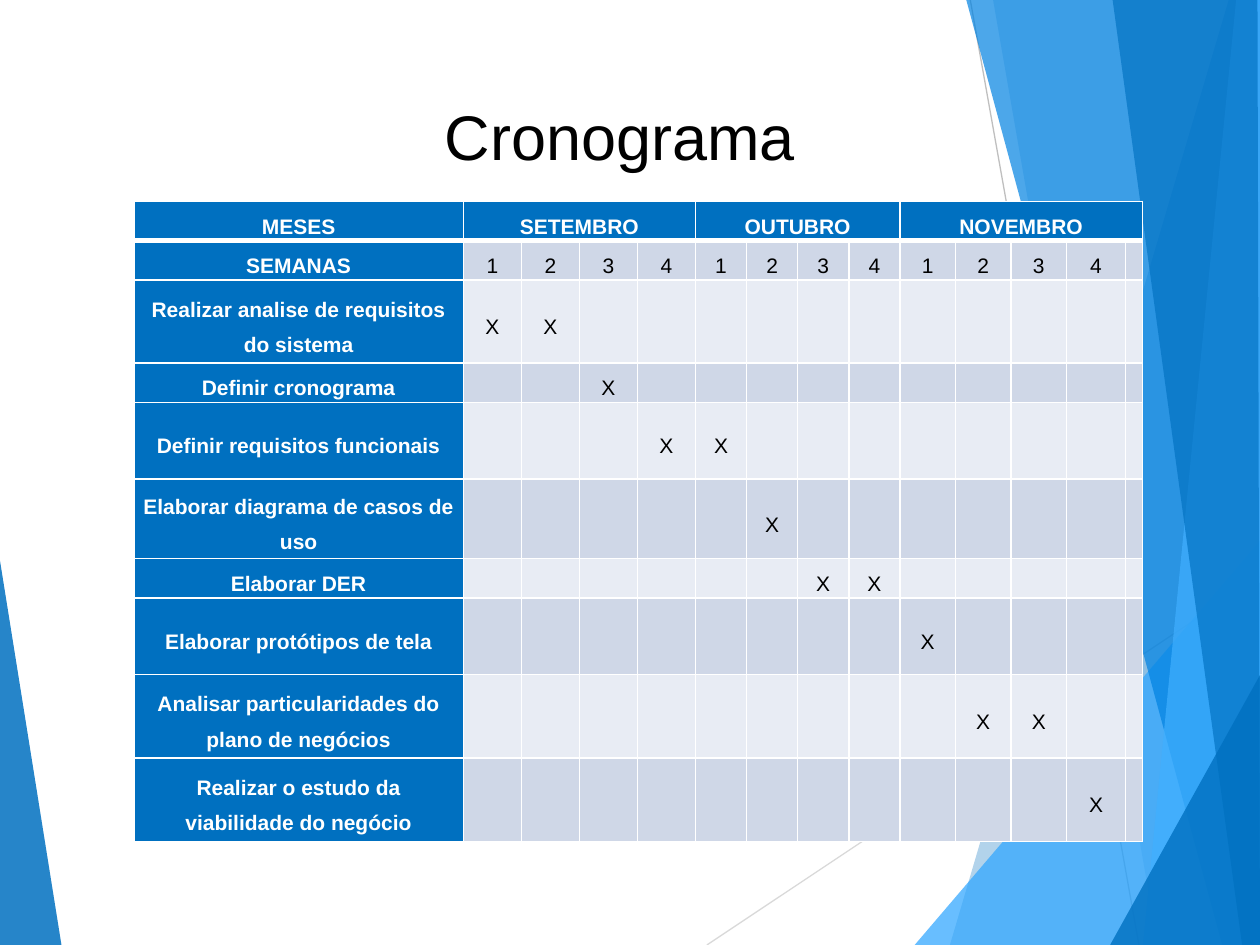
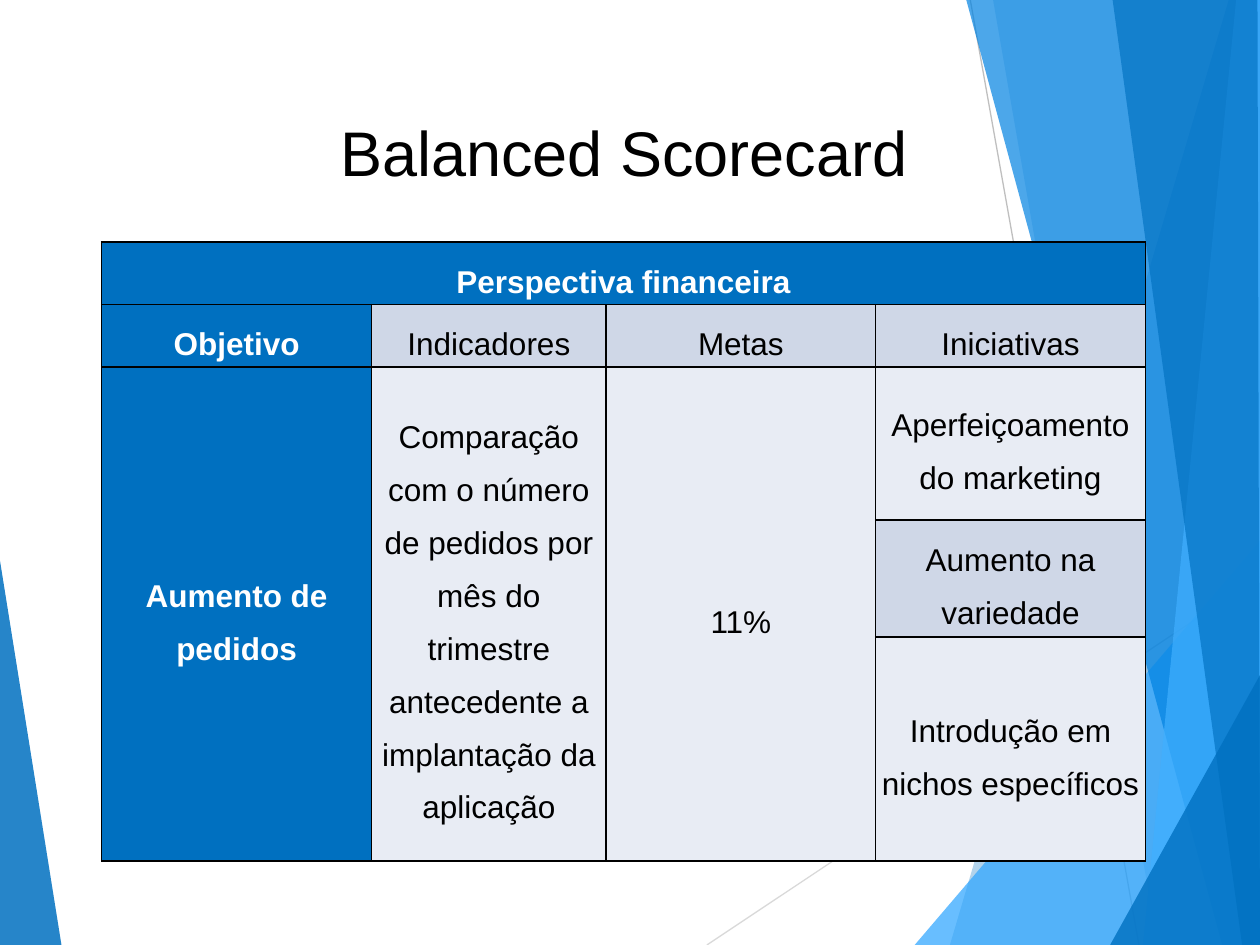
"""Build the schedule and scorecard slides over a shared blue backdrop."""
from lxml.etree import SubElement as Sub
from pptx import Presentation
from pptx.dml.color import RGBColor
from pptx.enum.shapes import MSO_CONNECTOR as Link
from pptx.enum.text import MSO_ANCHOR as Anchor, PP_ALIGN as Align
from pptx.oxml import parse_xml
from pptx.oxml.ns import nsdecls, qn
from pptx.util import Cm, Pt

W, H = 25.4, 19.05
BLUE, DARK, PALE = "0070C0", "CFD7E7", "E8ECF4"
WHITE, BLACK = "FFFFFF", "000000"
CELL = {"vertical_anchor": Anchor.MIDDLE, "margin_left": Cm(0.12),
        "margin_right": Cm(0.12), "margin_top": 0, "margin_bottom": 0}
PLAIN = {"first_row": False, "horz_banding": False}


def tint(hue):
    return RGBColor.from_string(hue)


def grid(page, spot, cols, rows, data, spans, size, edge, head):
    high, wide = len(rows), len(cols)
    table = page.shapes.add_table(high, wide, Cm(spot[0]), Cm(spot[1]),
                                  Cm(sum(cols)), Cm(sum(rows))).table
    for name, val in PLAIN.items():
        setattr(table, name, val)
    for col, width in zip(table.columns, cols):
        col.width = Cm(width)
    for row, height in zip(table.rows, rows):
        row.height = Cm(height)
    for r, line in enumerate(data):
        for c, text in enumerate(line):
            cell = table.cell(r, c)
            main = r == 0 or c == 0
            for name, val in CELL.items():
                setattr(cell, name, val)
            cell.fill.solid()
            cell.fill.fore_color.rgb = tint(BLUE if main else DARK if r % 2 else PALE)
            props = cell._tc.get_or_add_tcPr()
            for i, side in enumerate("LRTB"):
                thick = head if (r, side) in ((0, "B"), (1, "T")) else 1
                props.insert(i, parse_xml(
                    f'<a:ln{side} {nsdecls("a")} w="{Pt(thick)}"><a:solidFill>'
                    f'<a:srgbClr val="{edge}"/></a:solidFill></a:ln{side}>'))
            if text:
                para = cell.text_frame.paragraphs[0]
                para.alignment, para.line_spacing = Align.CENTER, 1.5
                run = para.add_run()
                run.text = text
                form = {"name": "Arial", "size": Pt(size), "bold": main}
                for name, val in form.items():
                    setattr(run.font, name, val)
                run.font.color.rgb = tint(WHITE if main else BLACK)
    for top, left, low, right in spans:
        table.cell(top, left).merge(table.cell(low, right))


deck = Presentation()
deck.slide_width, deck.slide_height = Cm(W), Cm(H)
blank = deck.slide_layouts[6]

titles = [("Cronograma", 3.68, 0.89), ("Balanced Scorecard", 3.76, 1.22)]
pages = [deck.slides.add_slide(blank) for _ in titles]
plan, score = pages

lines = [(14.25, H, W, 11.62, "D9D9D9"), (19.56, 0, 22.96, H, "BFBFBF")]
for x1, y1, x2, y2, hue in lines:
    link = plan.shapes.add_connector(Link.STRAIGHT, Cm(x1), Cm(y1), Cm(x2), Cm(y2))
    link.line.color.rgb, link.line.width = tint(hue), Pt(0.75)
    Sub(link.element.spPr, qn("a:effectLst"))

shards = [
    (BLUE, 85, [(0, 11.3), (1.24, H), (0, H)]),
    (BLUE, 30, [(24.77, 0), (19.15, H), (W, H), (W, 0)]),
    (BLUE, 20, [(20.02, 0), (23.34, H), (W, H), (W, 0)]),
    ("2FA6FF", 72, [(18.44, H), (W, 10.9), (W, H)]),
    ("0082E2", 70, [(19.48, 0), (24.64, H), (W, H), (W, 0)]),
    ("40AFFF", 70, [(24.92, 0), (23.04, H), (W, H), (W, 0)]),
    (BLUE, 65, [(22.43, 0), (25.04, H), (W, H), (25.35, 0)]),
    (BLUE, 80, [(22.38, H), (W, 13.61), (W, H)]),
]
for hue, alpha, spots in shards:
    first, *rest = [(Cm(x), Cm(y)) for x, y in spots]
    pen = plan.shapes.build_freeform(*first)
    pen.add_line_segments(rest)
    shard = pen.convert_to_shape()
    shard.shadow.inherit = False
    shard.line.fill.background()
    shard.fill.solid()
    shard.fill.fore_color.rgb = tint(hue)
    color = shard.element.spPr.find(qn("a:solidFill"))[0]
    Sub(color, qn("a:alpha"), val=str(alpha * 1000))

for shape in list(plan.shapes):
    blank.shapes.element.append(shape.element)

for page, (text, x, y) in zip(pages, titles):
    frame = page.shapes.add_textbox(Cm(x), Cm(y), Cm(17.63), Cm(3.66)).text_frame
    frame.word_wrap, frame.vertical_anchor = True, Anchor.MIDDLE
    para = frame.paragraphs[0]
    para.alignment = Align.CENTER
    run = para.add_run()
    run.text = text
    run.font.name, run.font.size = "Arial", Pt(36)
    run.font.color.rgb = tint(BLACK)

tasks = [
    ("Realizar analise de requisitos do sistema", (1, 2)),
    ("Definir cronograma", (3,)),
    ("Definir requisitos funcionais", (4, 5)),
    ("Elaborar diagrama de casos de uso", (6,)),
    ("Elaborar DER", (7, 8)),
    ("Elaborar protótipos de tela", (9,)),
    ("Analisar particularidades do plano de negócios", (10, 11)),
    ("Realizar o estudo da viabilidade do negócio", (12,)),
]
data = [["MESES", "SETEMBRO", "", "", "", "OUTUBRO", "", "", "", "NOVEMBRO", "", "", "", ""],
        ["SEMANAS", *"1234" * 3, ""]]
for task, weeks in tasks:
    data.append([task] + ["X" if week in weeks else "" for week in range(1, 14)])
grid(plan, (2.7, 4.06), [6.64] + [1.17] * 4 + [1.03] * 4 + [1.12] * 3 + [1.19, 0.2],
     [0.79, 0.79, 1.68, 0.79, 1.55, 1.6, 0.79, 1.55, 1.68, 1.68], data,
     [(0, 1, 0, 4), (0, 5, 0, 8), (0, 9, 0, 13)], 12, WHITE, 3)

data = [
    ["Perspectiva financeira", "", "", ""],
    ["Objetivo", "Indicadores", "Metas", "Iniciativas"],
    ["Aumento de pedidos",
     "Comparação com o número de pedidos por mês do trimestre "
     "antecedente a implantação da aplicação",
     "11%", "Aperfeiçoamento do marketing"],
    ["", "", "", "Aumento na variedade"],
    ["", "", "", "Introdução em nichos específicos"],
]
grid(score, (2.05, 4.88), [5.44, 4.73, 5.43, 5.44], [1.26, 1.26, 3.08, 2.36, 4.52], data,
     [(0, 0, 0, 3)] + [(2, col, 4, col) for col in range(3)], 18, BLACK, 1)

deck.save("out.pptx")
